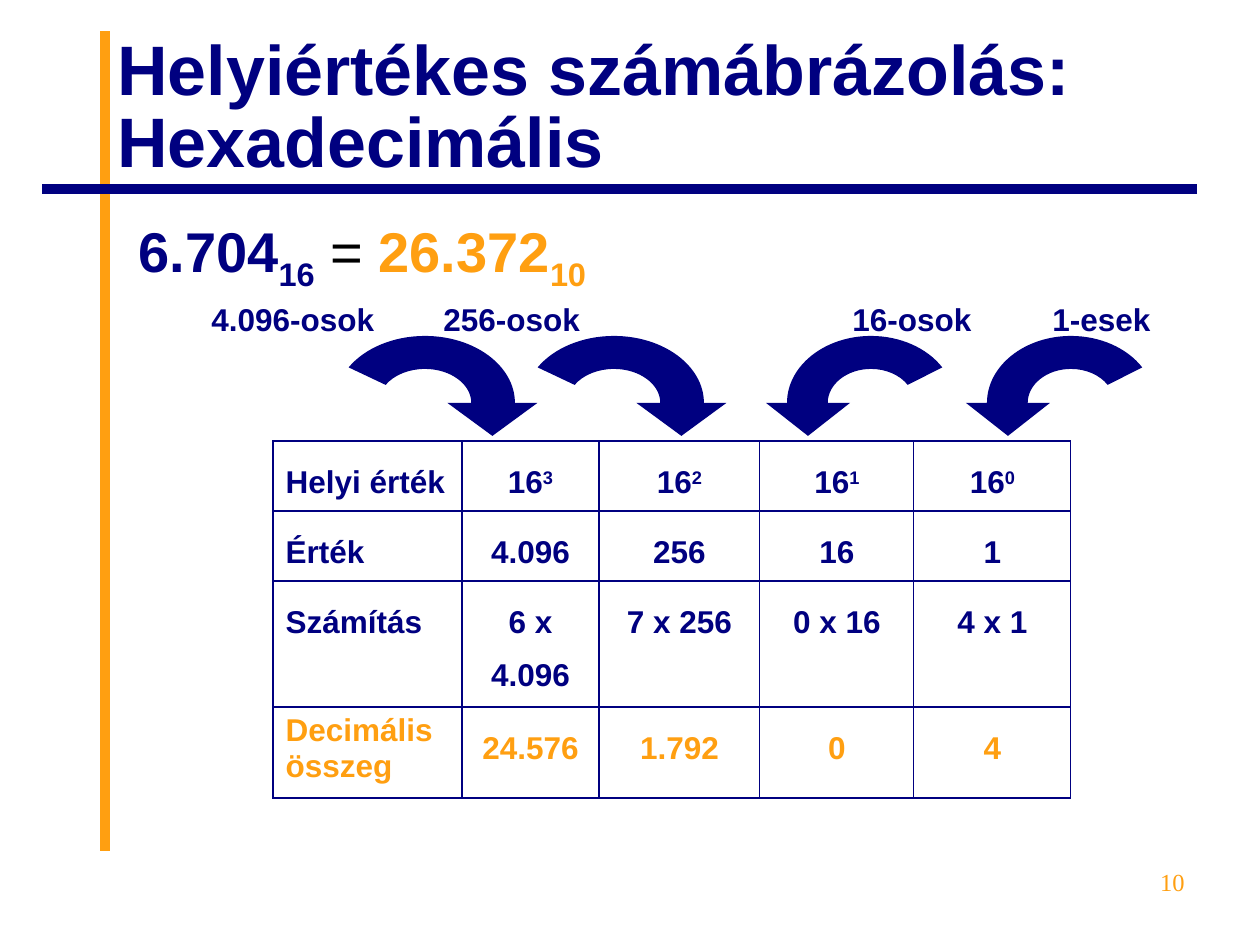
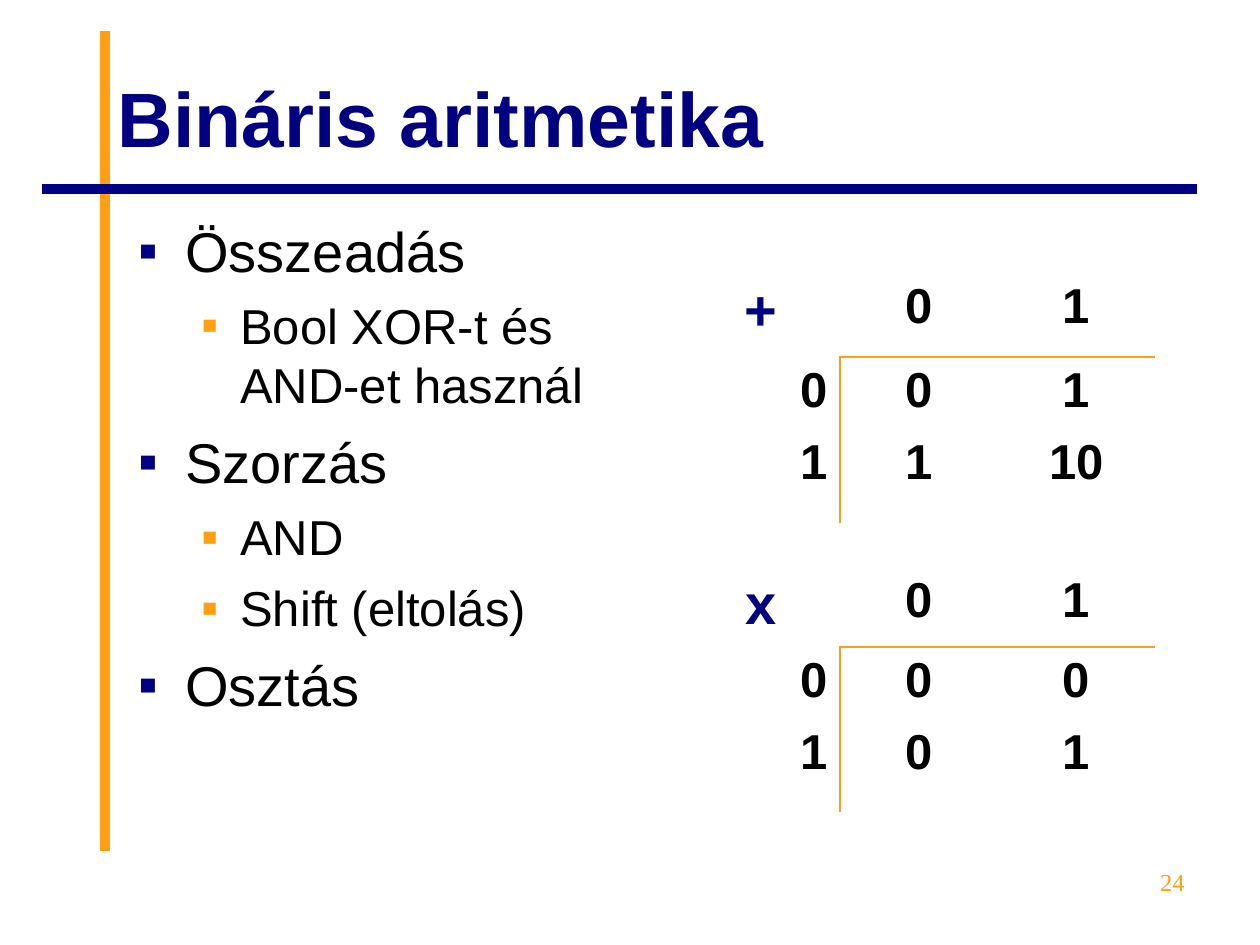
"""Build two slides on positional notation and binary arithmetic."""
from math import cos, radians, sin, tan

from lxml import etree
from pptx import Presentation
from pptx.dml.color import RGBColor
from pptx.enum.shapes import MSO_CONNECTOR
from pptx.enum.text import MSO_ANCHOR, PP_ALIGN
from pptx.oxml.ns import qn
from pptx.util import Emu, Pt

LEFT, CENTER, RIGHT = PP_ALIGN.LEFT, PP_ALIGN.CENTER, PP_ALIGN.RIGHT
TOP, MIDDLE = MSO_ANCHOR.TOP, MSO_ANCHOR.MIDDLE
STRAIGHT = MSO_CONNECTOR.STRAIGHT

PX = 914400 / 126
NAVY, ORANGE, BLACK = "000080", "FF9F11", "000000"
SANS, SERIF = "Arial", "Times New Roman"

EQUATION = [
    ("6.704", dict(color=NAVY, bold=True)),
    ("16", dict(color=NAVY, bold=True, base=-25)),
    (" = ", dict(color=BLACK)),
    ("26.372", dict(color=ORANGE, bold=True)),
    ("10", dict(color=ORANGE, bold=True, base=-25)),
]
PLACES = [
    dict(label="4.096-osok", label_x=199, label_w=252, arc_x=425, radius=90),
    dict(label="256-osok", label_x=431, label_w=210, arc_x=614, radius=90),
    dict(label="1-esek", label_x=1040, label_w=178, arc_x=1071, radius=-84),
    dict(label="16-osok", label_x=840, label_w=178, arc_x=871, radius=-84),
]
PLACE_TABLE = [
    ["Helyi érték", ("16", "3"), ("16", "2"), ("16", "1"), ("16", "0")],
    ["Érték", "4.096", "256", "16", "1"],
    ["Számítás", "6 x 4.096", "7 x 256", "0 x 16", "4 x 1"],
    ["Decimális összeg", "24.576", "1.792", "0", "4"],
]
PLACE_COLS, PLACE_ROWS = [189, 137, 161, 154, 157], [70, 70, 126, 91]

TOPICS = [
    (0, "Összeadás"),
    (1, "Bool XOR-t és AND-et használ"),
    (0, "Szorzás"),
    (1, "AND"),
    (1, "Shift (eltolás)"),
    (0, "Osztás"),
]
LEVELS = [
    dict(size=32, before=8, margin=47, hang=47, color=NAVY),
    dict(size=28, before=7, margin=102, hang=39, color=ORANGE),
]
OPERATION_COLS = [158, 158, 157]
OPERATIONS = [
    (273, [84, 72, 94], [["+", "0", "1"], ["0", "0", "1"], ["1", "1", "10"]]),
    (567, [80, 72, 93], [["x", "0", "1"], ["0", "0", "0"], ["1", "0", "1"]]),
]


def px(n):
    return Emu(round(n * PX))


def rgb(value):
    return RGBColor.from_string(value)


def add_run(p, text, size=18, color=NAVY, bold=False, font=SANS, base=0):
    r = p.add_run()
    r.text = text
    r.font.size, r.font.bold, r.font.name = Pt(size), bold, font
    r.font.color.rgb = rgb(color)
    if base:
        r._r.get_or_add_rPr().set("baseline", str(base * 1000))


def add_box(slide, x, y, w, h, anchor=TOP):
    tf = slide.shapes.add_textbox(px(x), px(y), px(w), px(h)).text_frame
    tf.word_wrap = True
    tf.vertical_anchor = anchor
    return tf


def add_rule(slide, x1, y1, x2, y2, color):
    c = slide.shapes.add_connector(STRAIGHT, px(x1), px(y1), px(x2), px(y2))
    c.line.color.rgb, c.line.width = rgb(color), Pt(5.5)
    etree.SubElement(c._element.spPr, qn("a:effectLst"))


def add_base_slide(prs, title, number, size, y, spacing=1.0):
    slide = prs.slides.add_slide(prs.slide_layouts[6])
    add_rule(slide, 105, 851, 105, 31, ORANGE)
    add_rule(slide, 1197, 189, 42, 189, NAVY)
    p = add_box(slide, 105, y, 1092, 158, MIDDLE).paragraphs[0]
    p.line_spacing = spacing
    add_run(p, title, size=size, bold=True)
    return slide


def add_number(slide, number):
    p = add_box(slide, 903, 861, 294, 66).paragraphs[0]
    p.alignment = RIGHT
    add_run(p, str(number), size=14, color=ORANGE, font=SERIF)


def add_grid(slide, x, y, cols, rows):
    frame = slide.shapes.add_table(len(rows), len(cols), px(x), px(y),
                                   px(sum(cols)), px(sum(rows)))
    table = frame.table
    table.first_row = table.horz_banding = False
    for column, w in zip(table.columns, cols):
        column.width = px(w)
    for row, h in zip(table.rows, rows):
        row.height = px(h)
    return table


def style_cell(cell, sides, color, width):
    tcPr = cell._tc.get_or_add_tcPr()
    for side in "LRTB":
        ln = etree.SubElement(tcPr, qn("a:ln" + side), w=str(Pt(width)))
        if side in sides:
            fill = etree.SubElement(ln, qn("a:solidFill"))
            etree.SubElement(fill, qn("a:srgbClr"), val=color)
        else:
            etree.SubElement(ln, qn("a:noFill"))
    cell.fill.background()


def add_bullet(p, level):
    pPr = p._p.get_or_add_pPr()
    pPr.set("marL", str(px(level["margin"])))
    pPr.set("indent", str(-px(level["hang"])))
    color = etree.SubElement(pPr, qn("a:buClr"))
    etree.SubElement(color, qn("a:srgbClr"), val=level["color"])
    etree.SubElement(pPr, qn("a:buFont"), typeface=SANS)
    etree.SubElement(pPr, qn("a:buChar"), char="▪")


def curve_points(cx, cy, rx, ry, start, end):
    a, b = radians(start), radians(end)
    k = 4 / 3 * tan((b - a) / 4)
    units = [(cos(a) - k * sin(a), sin(a) + k * cos(a)),
             (cos(b) + k * sin(b), sin(b) - k * cos(b)), (cos(b), sin(b))]
    return [(cx + rx * u, cy - ry * v) for u, v in units]


def bend_segments(sp, starts):
    segments = sp._element.findall(".//" + qn("a:lnTo"))
    for i in starts:
        curve = etree.Element(qn("a:cubicBezTo"))
        segments[i].addprevious(curve)
        for segment in segments[i:i + 3]:
            curve.append(segment[0])
            segment.getparent().remove(segment)


def add_arc_arrow(slide, cx, radius, cy=403):
    outer, inner = (cx, cy, radius, 67), (cx, cy, 0.515 * radius, 34)
    tail = radians(148)
    start = cx + radius * cos(tail), cy - 67 * sin(tail)
    inner_end = cx + 0.515 * radius * cos(tail), cy - 34 * sin(tail)
    points = curve_points(*outer, 148, 90) + curve_points(*outer, 90, 0)
    points += [(cx + 1.25 * radius, cy), (cx + 0.75 * radius, cy + 33),
               (cx + 0.25 * radius, cy), (cx + 0.515 * radius, cy)]
    points += curve_points(*inner, 0, 90) + curve_points(*inner, 90, 148)[:2]
    points.append(inner_end)
    builder = slide.shapes.build_freeform(px(start[0]), px(start[1]))
    builder.add_line_segments([(px(x), px(y)) for x, y in points], close=True)
    sp = builder.convert_to_shape()
    bend_segments(sp, (0, 3, 10, 13))
    sp.shadow.inherit = False
    sp.fill.solid()
    sp.fill.fore_color.rgb = rgb(NAVY)
    sp.line.fill.background()


def build_hexadecimal(prs):
    slide = add_base_slide(prs, "Helyiértékes számábrázolás: Hexadecimális", 10,
                           size=40, y=31, spacing=0.85)
    p = add_box(slide, 126, 210, 1071, 134).paragraphs[0]
    for text, style in EQUATION:
        add_run(p, text, size=32, **style)

    table = add_grid(slide, 273, 441, PLACE_COLS, PLACE_ROWS)
    for i, row in enumerate(PLACE_TABLE):
        total = i == len(PLACE_TABLE) - 1
        for j, value in enumerate(row):
            cell = table.cell(i, j)
            style_cell(cell, "LRTB", NAVY, 0.75)
            p = cell.text_frame.paragraphs[0]
            p.alignment = CENTER if j else LEFT
            p.line_spacing = 1.0 if total and not j else 1.5
            number, power = value if isinstance(value, tuple) else (value, "")
            color = ORANGE if total else NAVY
            add_run(p, number, color=color, bold=True)
            if power:
                add_run(p, power, color=color, bold=True, base=30)

    for place in PLACES:
        add_arc_arrow(slide, place["arc_x"], place["radius"])
        tf = add_box(slide, place["label_x"], 294, place["label_w"], 50)
        add_run(tf.paragraphs[0], place["label"], bold=True)
    add_number(slide, 10)


def build_binary(prs):
    slide = add_base_slide(prs, "Bináris aritmetika", 24, size=44, y=38)
    tf = add_box(slide, 126, 210, 530, 624)
    for i, (depth, text) in enumerate(TOPICS):
        level = LEVELS[depth]
        p = tf.add_paragraph() if i else tf.paragraphs[0]
        p.level = depth
        if i:
            p.space_before = Pt(level["before"])
        add_bullet(p, level)
        add_run(p, text, size=level["size"], color=BLACK)

    for y, heights, values in OPERATIONS:
        table = add_grid(slide, 682, y, OPERATION_COLS, heights)
        for i, row in enumerate(values):
            for j, value in enumerate(row):
                cell = table.cell(i, j)
                sides = {(0, 1): "B", (0, 2): "B", (1, 0): "R", (2, 0): "R",
                         (1, 1): "LT", (1, 2): "T", (2, 1): "L"}.get((i, j), "")
                style_cell(cell, sides, ORANGE, 1.47)
                p = cell.text_frame.paragraphs[0]
                p.alignment = RIGHT if i and not j else CENTER
                corner = i == j == 0
                add_run(p, value, size=32 if corner else 28,
                        color=NAVY if corner else BLACK, bold=True)
    add_number(slide, 24)


def main():
    prs = Presentation()
    prs.slide_width, prs.slide_height = px(1260), px(945)
    build_hexadecimal(prs)
    build_binary(prs)
    prs.save("out.pptx")


if __name__ == "__main__":
    main()
